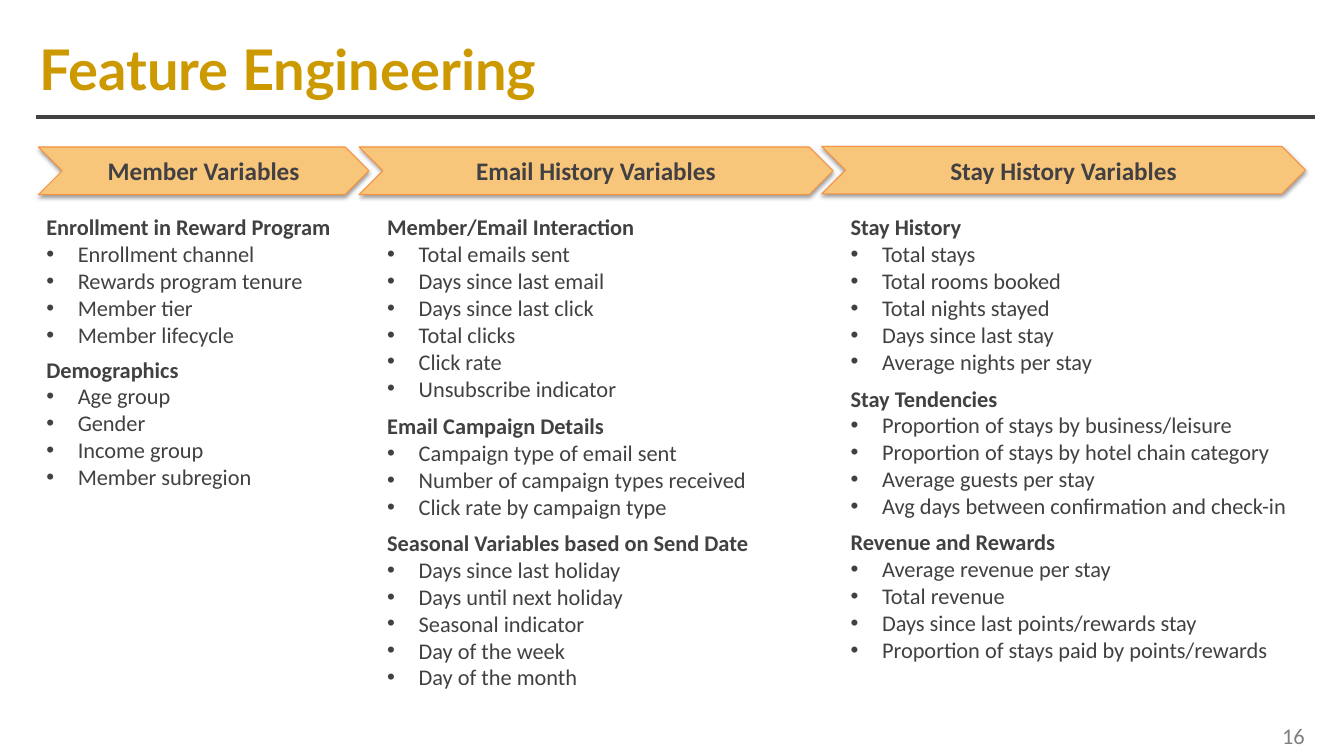
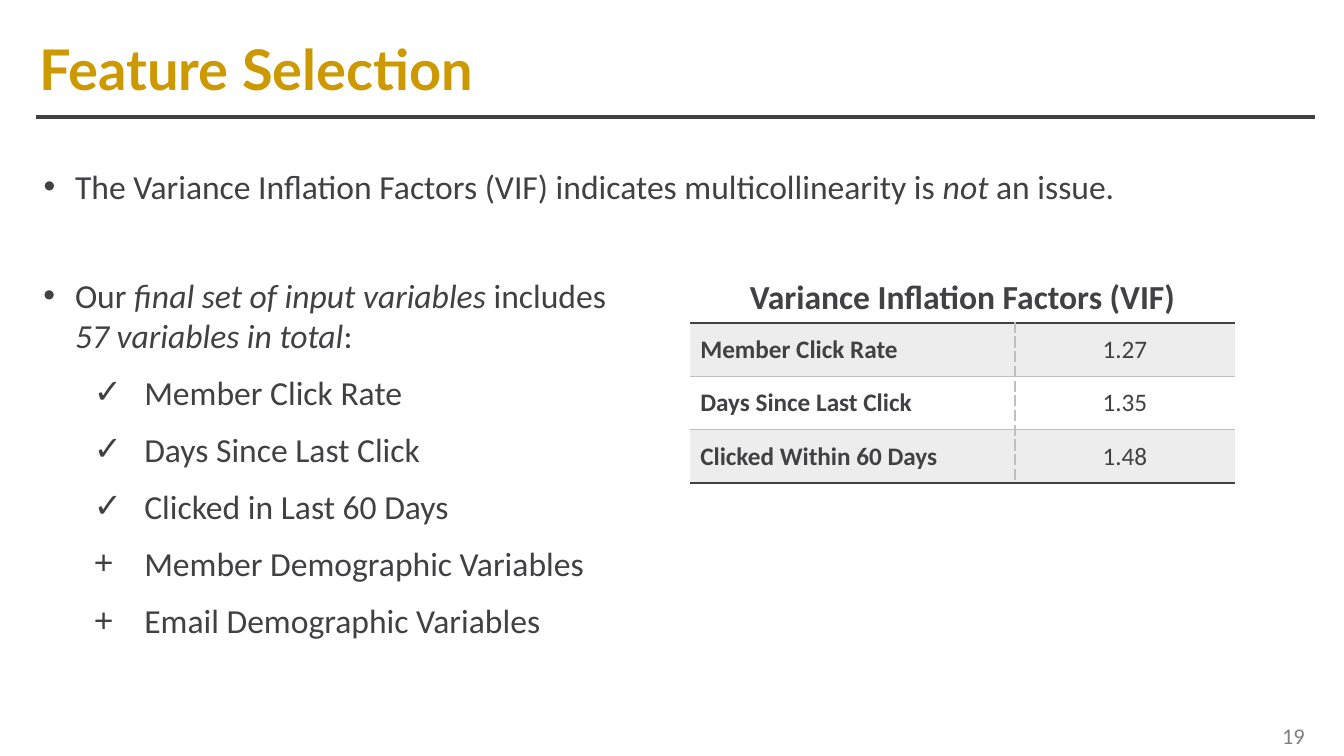
"""Build two slides on feature engineering and feature selection."""
import dataclasses

import lxml.etree
import pptx
import pptx.dml.color
import pptx.enum.shapes
import pptx.enum.text
import pptx.oxml.ns
import pptx.util

Pt = pptx.util.Pt
RGB = pptx.dml.color.RGBColor.from_string
ALIGN = pptx.enum.text.PP_ALIGN
MIDDLE = pptx.enum.text.MSO_ANCHOR.MIDDLE
qn = pptx.oxml.ns.qn
add = lxml.etree.SubElement


@dataclasses.dataclass(frozen=True)
class Theme:
    gold: str = "CC9900"
    ink: str = "414042"
    gray: str = "808080"
    rule: str = "BFBFBF"
    band: str = "EDEDED"
    amber: str = "F8C67A"
    orange: str = "F69240"
    face: str = "Calibri"
    display: str = "Lato"
    huge: int = 40
    large: int = 24
    mid: int = 18
    small: int = 16


theme = Theme()


def write(par, text, size, bold=False, color=theme.ink, face=theme.face,
          align=ALIGN.LEFT, mark=None, left=22.5, hang=22.5):
    for i, part in enumerate(text.split("*")):
        run = par.add_run()
        run.text = part
        if i % 2:
            run.font.italic = True
    par.alignment = align
    if mark:
        props = par._p.get_or_add_pPr()
        props.set("marL", str(Pt(left)))
        props.set("indent", str(-Pt(hang)))
        add(props, qn("a:buFont"), typeface="Arial")
        add(props, qn("a:buChar"), char=mark)
    par.font.name = face
    par.font.size = Pt(size)
    par.font.bold = bold
    par.font.color.rgb = RGB(color)


def box(slide, left, top, width, height):
    frame = slide.shapes.add_textbox(Pt(left), Pt(top), Pt(width), Pt(height)).text_frame
    frame.word_wrap = True
    return frame


deck = pptx.Presentation()
deck.slide_width, deck.slide_height = Pt(960), Pt(540)

slides = []
for name, number in (("Feature Engineering", "16"), ("Feature Selection", "19")):
    slide = deck.slides.add_slide(deck.slide_layouts[5])
    slides.append(slide)
    line = slide.shapes.add_connector(
        pptx.enum.shapes.MSO_CONNECTOR.STRAIGHT, Pt(26), Pt(83.5), Pt(939), Pt(83.5))
    line.line.color.rgb = RGB(theme.ink)
    line.line.width = Pt(3)
    add(line._element.spPr, qn("a:effectLst"))

    title = slide.shapes.title
    title.left, title.top, title.width, title.height = Pt(28), Pt(19), Pt(805), Pt(59)
    frame = title.text_frame
    frame.margin_left = frame.margin_right = frame.margin_top = frame.margin_bottom = 0
    frame.vertical_anchor = MIDDLE
    frame.auto_size = pptx.enum.text.MSO_AUTO_SIZE.NONE
    write(frame.paragraphs[0], name, theme.huge, True, theme.gold, theme.display)

    frame = box(slide, 688.5, 511, 250.5, 29)
    frame.vertical_anchor = MIDDLE
    write(frame.paragraphs[0], number, theme.small, color=theme.gray, align=ALIGN.RIGHT)

first, second = slides

groups = (
    ("Member Variables", 27.5, 105, 236, 26, 230, 4, (
        ("Enrollment in Reward Program", "Enrollment channel", "Rewards program tenure",
         "Member tier", "Member lifecycle"),
        ("Demographics", "Age group", "Gender", "Income group", "Member subregion"))),
    ("Email History Variables", 256.5, 105, 338.5, 269.5, 317.5, 5.5, (
        ("Member/Email Interaction", "Total emails sent", "Days since last email",
         "Days since last click", "Total clicks", "Click rate", "Unsubscribe indicator"),
        ("Email Campaign Details", "Campaign type of email sent",
         "Number of campaign types received", "Click rate by campaign type"),
        ("Seasonal Variables based on Send Date", "Days since last holiday",
         "Days until next holiday", "Seasonal indicator", "Day of the week",
         "Day of the month"))),
    ("Stay History Variables", 587, 104.5, 345.5, 600.5, 332.5, 5.25, (
        ("Stay History", "Total stays", "Total rooms booked", "Total nights stayed",
         "Days since last stay", "Average nights per stay"),
        ("Stay Tendencies", "Proportion of stays by business/leisure",
         "Proportion of stays by hotel chain category", "Average guests per stay",
         "Avg days between confirmation and check-in"),
        ("Revenue and Rewards", "Average revenue per stay", "Total revenue",
         "Days since last points/rewards stay",
         "Proportion of stays paid by points/rewards"))),
)
PITCH = 19.5
for name, left, top, width, edge, room, gap, lists in groups:
    arrow = first.shapes.add_shape(
        pptx.enum.shapes.MSO_SHAPE.CHEVRON, Pt(left), Pt(top), Pt(width), Pt(34))
    arrow.fill.solid()
    arrow.fill.fore_color.rgb = RGB(theme.amber)
    arrow.line.color.rgb = RGB(theme.orange)
    arrow.line.width = Pt(0.75)
    arrow.shadow.inherit = False
    shade = add(arrow._element.spPr.find(qn("a:effectLst")), qn("a:outerShdw"),
                blurRad=str(Pt(3.1)), dist=str(Pt(1.6)), dir="5400000", rotWithShape="0")
    black = add(shade, qn("a:srgbClr"), val="000000")
    add(black, qn("a:alpha"), val="38000")
    arrow.text_frame.vertical_anchor = MIDDLE
    write(arrow.text_frame.paragraphs[0], name, theme.mid, True, align=ALIGN.CENTER)

    top = 149
    for head, *items in lists:
        rise = PITCH * (len(items) + 1)
        frame = box(first, edge, top, room, rise + 7)
        write(frame.paragraphs[0], head, theme.small, True)
        for item in items:
            write(frame.add_paragraph(), item, theme.small, mark="•")
        top += rise + gap

frame = box(second, 24, 115, 915, 36)
write(frame.paragraphs[0],
      "The Variance Inflation Factors (VIF) indicates multicollinearity is *not* an issue.",
      theme.large, mark="•")

frame = box(second, 24, 192.5, 437, 271.5)
write(frame.paragraphs[0],
      "Our *final set of input variables* includes *57 variables in total*:",
      theme.large, mark="•")
for mark, item in (("✓", "Member Click Rate"), ("✓", "Days Since Last Click"),
                   ("✓", "Clicked in Last 60 Days"), ("+", "Member Demographic Variables"),
                   ("+", "Email Demographic Variables")):
    par = frame.add_paragraph()
    par.level = 1
    par.space_before = Pt(12)
    write(par, item, theme.large, mark=mark, left=72, hang=36)

scores = (("Member Click Rate", "1.27"), ("Days Since Last Click", "1.35"),
          ("Clicked Within 60 Days", "1.48"))
table = second.shapes.add_table(4, 2, Pt(493), Pt(195), Pt(389), Pt(150)).table
table.first_row = table.horz_banding = False
table._tbl.tblPr.find(qn("a:tableStyleId")).text = "{2D5ABB26-0587-4C30-8999-92F81FD0307C}"
table.columns[0].width, table.columns[1].width = Pt(232), Pt(157)
for row, height in zip(table.rows, (35.5, 38.25, 38.25, 38.25)):
    row.height = Pt(height)

head = table.cell(0, 0)
head.merge(table.cell(0, 1))
head.margin_bottom = Pt(2)
write(head.text_frame.paragraphs[0], "Variance Inflation Factors (VIF)", theme.large, True,
      align=ALIGN.CENTER)

thick, thin = (theme.ink, 1.5, "solid"), (theme.rule, 1, "solid")
dash = (theme.rule, 2.25, "dash")
for r in range(4):
    for c in range(2):
        cell = table.cell(r, c)
        sides = {"B": thick if r in (0, 3) else thin}
        if r:
            sides = {"R" if c == 0 else "L": dash, "T": thick if r == 1 else thin} | sides
            cell.vertical_anchor = MIDDLE
            write(cell.text_frame.paragraphs[0], scores[r - 1][c], theme.mid, c == 0,
                  align=ALIGN.CENTER if c else ALIGN.LEFT)
        for side, (color, width, kind) in sides.items():
            rim = add(cell._tc.get_or_add_tcPr(), qn("a:ln" + side), w=str(Pt(width)))
            add(add(rim, qn("a:solidFill")), qn("a:srgbClr"), val=color)
            add(rim, qn("a:prstDash"), val=kind)
        if r % 2:
            cell.fill.solid()
            cell.fill.fore_color.rgb = RGB(theme.band)
        else:
            cell.fill.background()

deck.save("out.pptx")
